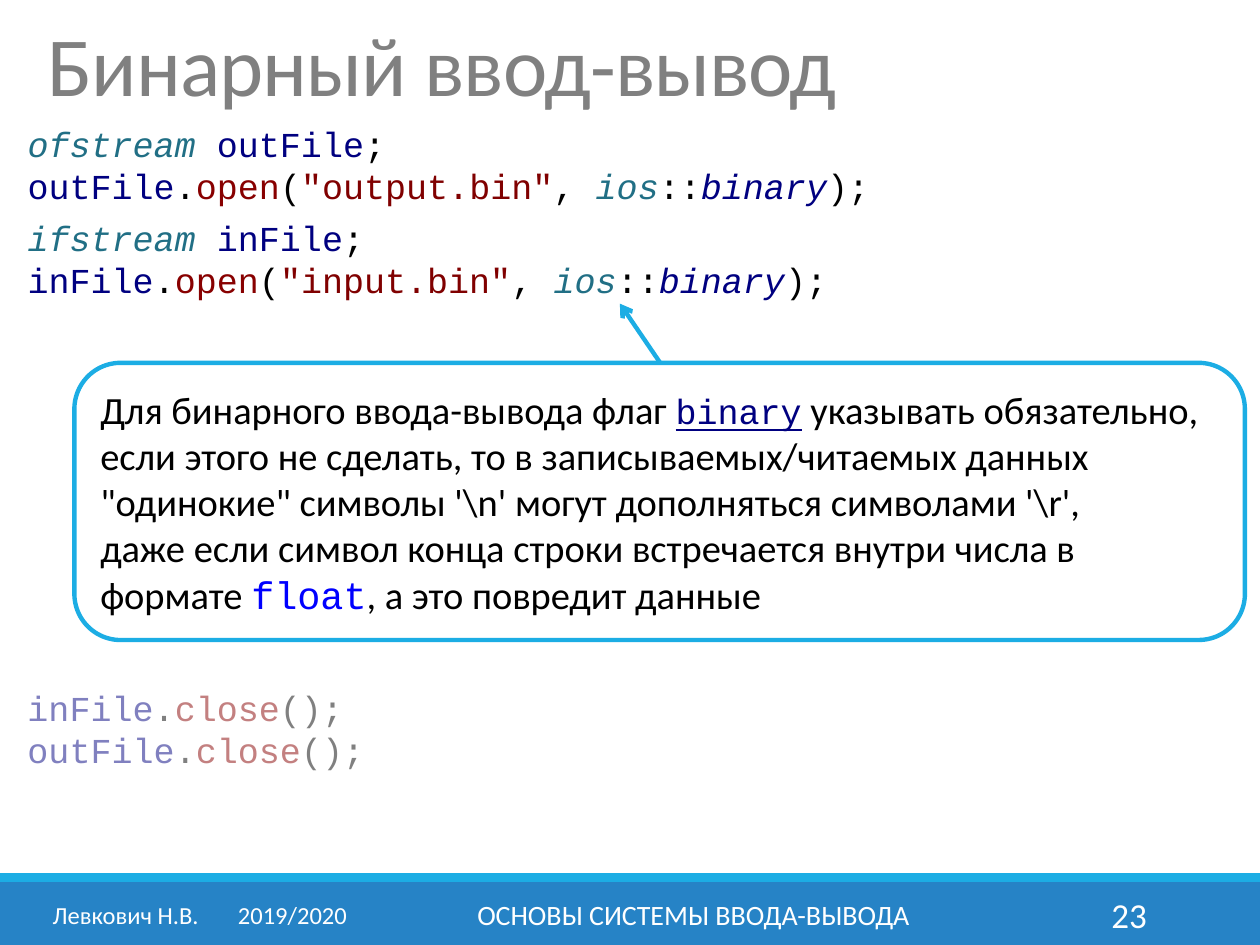
from pptx import Presentation, util as u
from pptx.dml.color import RGBColor
from pptx.enum import shapes, text
from pptx.oxml.ns import qn
from lxml import etree

W, H = 10, 7.5
C = {"white": "FFFFFF", "black": "000000", "title": "808080", "bar": "2683C6",
     "accent": "1CADE4", "type": "216F85", "name": "000080", "call": "880000",
     "string": "800000", "keyword": "0000FF"}
SANS, MONO = "Calibri", "Courier New"
LEFT, MID, RIGHT = text.PP_ALIGN.LEFT, text.PP_ALIGN.CENTER, text.PP_ALIGN.RIGHT


def run(words, color="black", size=20, font=MONO, **style):
    """Describe one run of text."""
    return words, color, size, font, style


def declare(kind, var):
    """Code line that declares a stream."""
    return [run(kind, "type", italic=True), run(" "), run(var, "name"), run(";")]


def open_file(var, file):
    """Code line that opens a file in binary mode."""
    return [run(var, "name"), run("."), run("open", "call"), run("("),
            run(f'"{file}"', "string"), run(", "), run("ios", "type", italic=True),
            run("::"), run("binary", "name", italic=True), run(");")]


def close_file(var):
    """Code line that closes a file."""
    return [run(var, "name"), run("."), run("close", "call"), run("();")]


TITLE = [[run("Бинарный ввод-вывод", "title", 48, SANS)]]
OPENING = [declare("ofstream", "outFile"), open_file("outFile", "output.bin"),
           declare("ifstream", "inFile"), open_file("inFile", "input.bin")]
CLOSING = [close_file("inFile"), close_file("outFile")]
NOTE = [
    [run("Для бинарного ввода-вывода флаг ", size=22, font=SANS),
     run("binary", "name", underline=True),
     run(" указывать обязательно,\nесли этого не сделать, то в записываемых/читаемых "
         "данных \"одинокие\" символы '\\n' могут дополняться символами '\\r',",
         size=22, font=SANS)],
    [run("даже если символ конца строки встречается внутри числа в формате ",
         size=22, font=SANS),
     run("float", "keyword", 22), run(", а это повредит данные", size=22, font=SANS)],
]
FOOTER = [  # left, width, words, size, alignment
    (0.32, 2.61, "Левкович Н.В.\t2019/2020", 14, LEFT),
    (3.02, 4.97, "ОСНОВЫ СИСТЕМЫ ВВОДА-ВЫВОДА", 16, MID),
    (8.12, 1.08, "23", 20, RIGHT),
]

prs = Presentation()
prs.slide_width, prs.slide_height = u.Inches(W), u.Inches(H)
s = prs.slides.add_slide(prs.slide_layouts[6])


def box(*at):
    """Turn inches into slide lengths."""
    return [u.Inches(v) for v in at]


def rgb(name):
    """Look up a colour."""
    return RGBColor.from_string(C[name])


def write(sp, paragraphs, align=LEFT, middle=False):
    """Fill a shape with paragraphs of runs."""
    tf = sp.text_frame
    tf.word_wrap = True
    tf.vertical_anchor = text.MSO_ANCHOR.MIDDLE if middle else text.MSO_ANCHOR.TOP
    for i, runs in enumerate(paragraphs):
        p = tf.paragraphs[0] if i == 0 else tf.add_paragraph()
        p.alignment = align
        for words, color, size, font, style in runs:
            for j, line in enumerate(words.split("\n")):
                if j:
                    p.add_line_break()
                r = p.add_run()
                r.text = line
                r.font.name, r.font.size = font, u.Pt(size)
                r.font.color.rgb = rgb(color)
                for key, value in style.items():
                    setattr(r.font, key, value)
    return tf


def label(at, paragraphs, **options):
    """Add a text box."""
    return write(s.shapes.add_textbox(*box(*at)), paragraphs, **options)


def panel(kind, at, fill, line=None):
    """Add a filled shape, outlined if a line colour is given."""
    sp = s.shapes.add_shape(kind, *box(*at))
    sp.shadow.inherit = False
    sp.fill.solid()
    sp.fill.fore_color.rgb = rgb(fill)
    if line:
        sp.line.color.rgb, sp.line.width = rgb(line), u.Pt(2.5)
    else:
        sp.line.fill.background()
    return sp


RECT = shapes.MSO_SHAPE.RECTANGLE
panel(RECT, (0, 7, W, 0.5), "bar")
panel(RECT, (0, 6.93, W, 0.07), "accent")

tf = label((0.28, 0.13, 6.5, 0.87), TITLE, middle=True)
tf.paragraphs[0].line_spacing = 0.85
tf.paragraphs[0].runs[0].font._element.set("spc", "-50")

tf = label((0.12, 0.92, 9.61, 1.53), OPENING)
tf.paragraphs[2].space_before = u.Pt(6)
label((0.12, 5.4, 9.37, 0.77), CLOSING, align=text.PP_ALIGN.JUSTIFY)

veil = panel(RECT, (0.2, 4.77, 6.3, 1.81), "white")
tint = veil.fill._xPr.find(qn("a:solidFill"))[0]
etree.SubElement(tint, qn("a:alpha"), val="50000")

note = panel(shapes.MSO_SHAPE.ROUNDED_RECTANGLE, (0.59, 2.88, 9.29, 2.2), "white", "accent")
write(note, NOTE, middle=True)

arrow = s.shapes.add_connector(shapes.MSO_CONNECTOR.STRAIGHT, *box(5.24, 2.88, 4.92, 2.41))
arrow.line.color.rgb, arrow.line.width = rgb("accent"), u.Pt(2.5)
etree.SubElement(arrow.line._get_or_add_ln(), qn("a:tailEnd"), type="arrow")
etree.SubElement(arrow._element.spPr, qn("a:effectLst"))

for left, width, words, size, align in FOOTER:
    tf = label((left, 7.06, width, 0.4), [[run(words, "white", size, SANS)]],
               align=align, middle=True)
    if "\t" in words:
        tabs = etree.SubElement(tf.paragraphs[0]._p.get_or_add_pPr(), qn("a:tabLst"))
        etree.SubElement(tabs, qn("a:tab"), pos=str(u.Inches(1.47)), algn="l")

prs.save("out.pptx")
